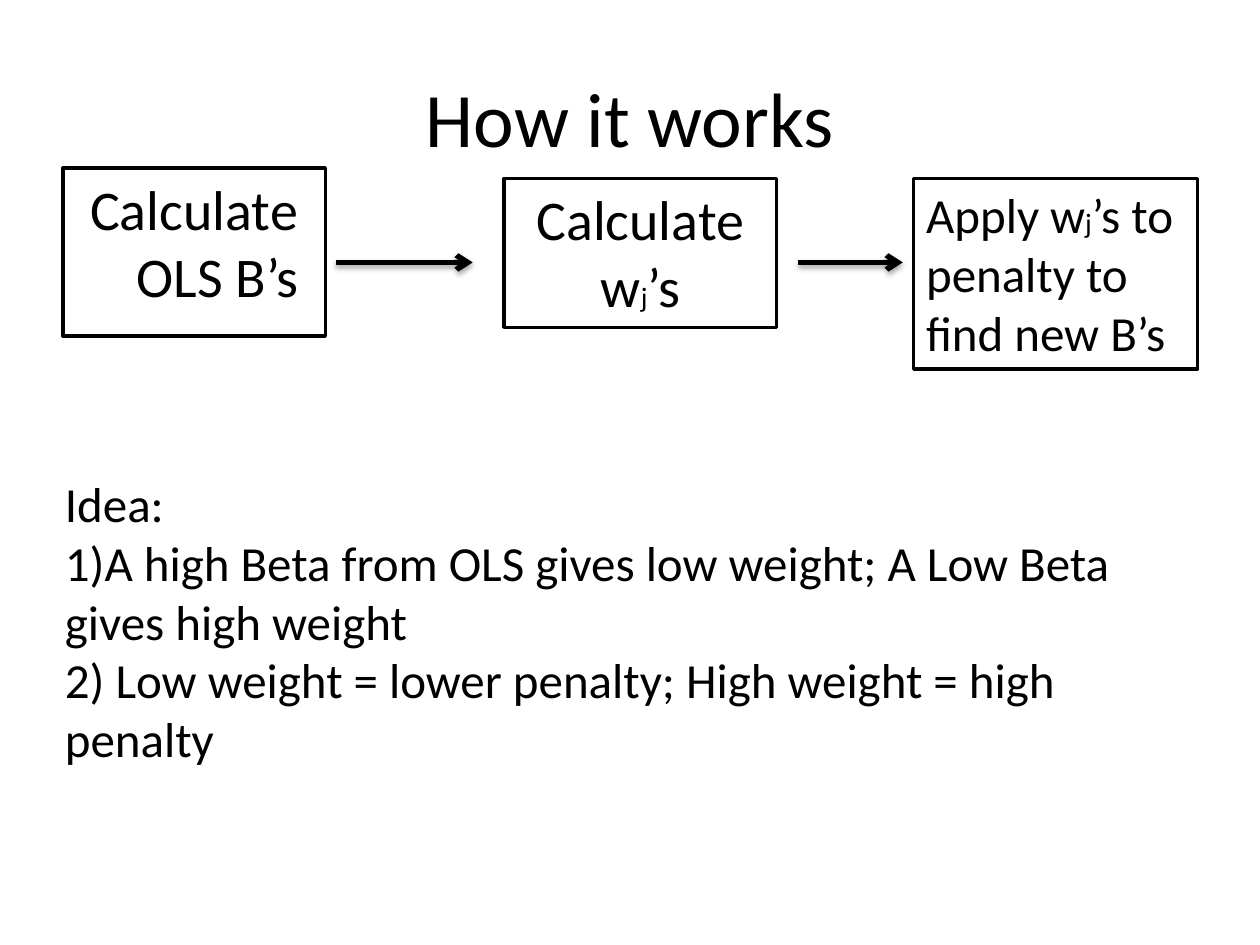
from lxml import etree
from pptx import Presentation
from pptx.dml.color import RGBColor
from pptx.enum.shapes import MSO_CONNECTOR as Link, MSO_SHAPE as Kind
from pptx.enum.text import MSO_ANCHOR as Anchor, PP_ALIGN as Align
from pptx.oxml import parse_xml
from pptx.oxml.ns import nsdecls, qn
from pptx.util import Cm, Pt


def color(code):
    return RGBColor.from_string(code)


def write(shape, *paras, size=28, align=Align.LEFT, anchor=Anchor.TOP, hang=0):
    """Each paragraph is a list of strings; every second one is a subscript."""
    frame = shape.text_frame
    frame.word_wrap = True
    frame.vertical_anchor = anchor
    for i, parts in enumerate(paras):
        para = frame.add_paragraph() if i else frame.paragraphs[0]
        para.alignment = align
        if hang:
            props = para._p.get_or_add_pPr()
            props.set("marL", str(Cm(hang)))
            props.set("indent", str(-Cm(hang)))
        for j, part in enumerate(parts):
            run = para.add_run()
            run.text = part
            run.font.name = "Calibri"
            run.font.size = Pt(16 if j % 2 else size)
            run.font.color.rgb = color("000000")


deck = Presentation()
deck.slide_width, deck.slide_height = Cm(25.4), Cm(19.05)
slide = deck.slides.add_slide(deck.slide_layouts[5])
shapes = slide.shapes

# Title
title = shapes.title
title.left, title.top, title.width, title.height = Cm(1.27), Cm(0.76), Cm(22.86), Cm(3.18)
write(title, ["How it works"], size=44, align=Align.CENTER, anchor=Anchor.MIDDLE)

# Step boxes
steps = [
    ((1.27, 3.39, 5.29, 3.39), ["Calculate OLS B’s"],
     dict(size=32, align=Align.CENTER, hang=0.95)),
    ((10.16, 3.6, 5.5, 3), ["Calculate w", "j", "’s"],
     dict(size=32, align=Align.CENTER)),
    ((18.42, 3.6, 5.72, 3.84), ["Apply w", "j", "’s to penalty to find new B’s"],
     dict(size=28)),
]
for place, parts, form in steps:
    box = shapes.add_shape(Kind.RECTANGLE, *map(Cm, place))
    box.shadow.inherit = False
    box.fill.solid()
    box.fill.fore_color.rgb = color("FFFFFF")
    box.line.color.rgb = color("000000")
    box.line.width = Pt(2)
    write(box, parts, **form)

# Arrows between the steps, with a soft shadow below
for start, end in [(6.77, 9.53), (16.09, 18.2)]:
    arrow = shapes.add_connector(Link.STRAIGHT, Cm(start), Cm(5.29), Cm(end), Cm(5.29))
    arrow.line.color.rgb = color("000000")
    arrow.line.width = Pt(3)
    etree.SubElement(arrow.line._get_or_add_ln(), qn("a:tailEnd"), type="arrow")
    arrow._element.spPr.append(parse_xml(
        f'<a:effectLst {nsdecls("a")}>'
        f'<a:outerShdw blurRad="{Pt(3.1)}" dist="{Pt(1.8)}" dir="5400000" rotWithShape="0">'
        '<a:srgbClr val="000000"><a:alpha val="35000"/></a:srgbClr>'
        '</a:outerShdw></a:effectLst>'))

# Idea
idea = shapes.add_textbox(Cm(1.06), Cm(9.42), Cm(23.28), Cm(6.25))
write(idea, ["Idea:"],
      ["1)A high Beta from OLS gives low weight; A Low Beta gives high weight"],
      ["2) Low weight = lower penalty; High weight = high penalty"])

deck.save("out.pptx")
